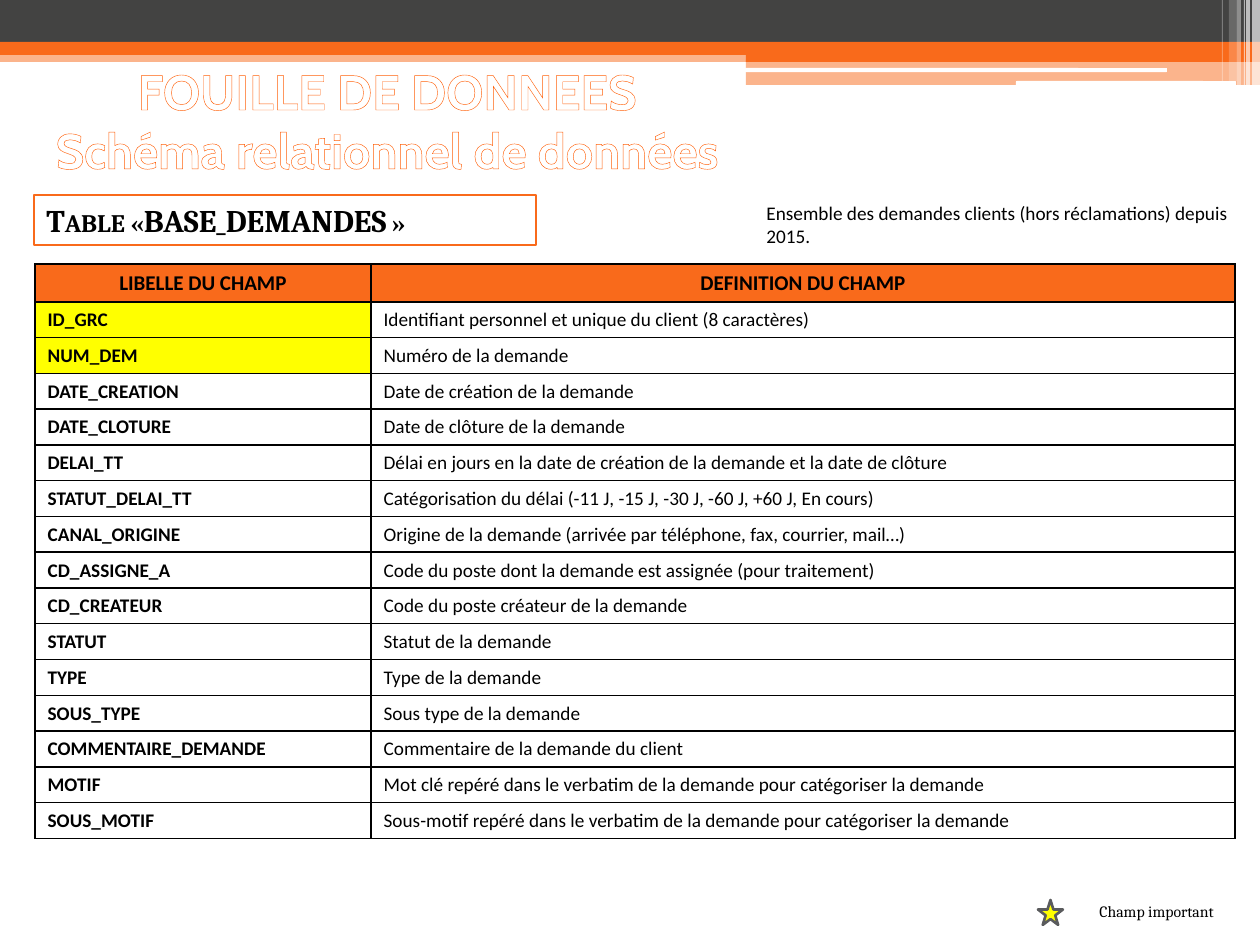
"""Build the slide that describes the fields of the BASE_DEMANDES table."""
from lxml import etree
from pptx import Presentation
from pptx.dml.color import RGBColor
from pptx.enum.shapes import MSO_SHAPE
from pptx.enum.text import MSO_ANCHOR, PP_ALIGN
from pptx.oxml.ns import qn
from pptx.util import Emu, Pt

RECTANGLE, ROUNDED, STAR = MSO_SHAPE.RECTANGLE, MSO_SHAPE.ROUNDED_RECTANGLE, MSO_SHAPE.STAR_5_POINT
LEFT, CENTER = PP_ALIGN.LEFT, PP_ALIGN.CENTER
TOP, MIDDLE, BOTTOM = MSO_ANCHOR.TOP, MSO_ANCHOR.MIDDLE, MSO_ANCHOR.BOTTOM

ORANGE = RGBColor(0xF9, 0x6A, 0x1B)
OUTLINE = RGBColor(0xFF, 0x60, 0x09)
DARK = RGBColor(0x43, 0x43, 0x42)
GRAY = RGBColor(0x5A, 0x5B, 0x5D)
YELLOW = RGBColor(0xFF, 0xFF, 0x00)
WHITE = RGBColor(0xFF, 0xFF, 0xFF)
BLACK = RGBColor(0, 0, 0)

TITLE = "FOUILLE DE DONNEES\vSchéma relationnel de données"
TABLE_NAME = "Table «BASE_DEMANDES\u00a0»\u00a0"
DESCRIPTION = "Ensemble des demandes clients (hors réclamations) depuis 2015."
LEGEND = "Champ important"
HEADERS = ("LIBELLE DU CHAMP", "DEFINITION DU CHAMP")
FIELDS = [
    ("ID_GRC", "Identifiant personnel et unique du client (8 caractères)"),
    ("NUM_DEM", "Numéro de la demande"),
    ("DATE_CREATION", "Date de création de la demande"),
    ("DATE_CLOTURE", "Date de clôture de la demande"),
    ("DELAI_TT", "Délai en jours en la date de création de la demande et la date de clôture"),
    ("STATUT_DELAI_TT", "Catégorisation du délai (-11 J, -15 J, -30 J, -60 J, +60 J, En cours)"),
    ("CANAL_ORIGINE", "Origine de la demande (arrivée par téléphone, fax, courrier, mail…)"),
    ("CD_ASSIGNE_A", "Code du poste dont la demande est assignée (pour traitement)"),
    ("CD_CREATEUR", "Code du poste créateur de la demande"),
    ("STATUT", "Statut de la demande"),
    ("TYPE", "Type de la demande"),
    ("SOUS_TYPE", "Sous type de la demande"),
    ("COMMENTAIRE_DEMANDE", "Commentaire de la demande du client"),
    ("MOTIF", "Mot clé repéré dans le verbatim de la demande pour catégoriser la demande"),
    ("SOUS_MOTIF", "Sous-motif repéré dans le verbatim de la demande pour catégoriser la demande"),
]
IMPORTANT_FIELDS = ("ID_GRC", "NUM_DEM")

BANDS = [
    (RECTANGLE, (0, 50, 1260, 12), ORANGE, 50),
    (RECTANGLE, (0, 0, 1260, 43), DARK, 100),
    (RECTANGLE, (0, 42, 1260, 13), ORANGE, 100),
    (RECTANGLE, (746, 49, 514, 13), ORANGE, 100),
    (RECTANGLE, (746, 60, 514, 25), ORANGE, 50),
    (ROUNDED, (745, 68, 422, 4), WHITE, 100),
    (ROUNDED, (1016, 81, 220, 5), WHITE, 100),
]
STRIPES = [(1252, 8, 86, 65), (1246, 4, 86, 65), (1244, 1, 86, 60),
           (1237, 4, 86, 40), (1229, 8, 81, 20), (1222, 1, 81, 30)]
COLUMN_WIDTHS = (336, 864)
ROW_HEIGHT = 35


def px(length):
    return Emu(round(length * 914400 / 126))


def place(box):
    return [px(length) for length in box]


def add_shape(shapes, kind, box, color, opacity=100, line=None):
    shape = shapes.add_shape(kind, *place(box))
    shape.shadow.inherit = False
    shape.fill.solid()
    shape.fill.fore_color.rgb = color
    if opacity < 100:
        color_element = shape.fill._xPr.find(qn("a:solidFill"))[0]
        etree.SubElement(color_element, qn("a:alpha"), val=str(opacity * 1000))
    if line is None:
        shape.line.fill.background()
    else:
        shape.line.color.rgb = line
        shape.line.width = Pt(1.5)
    return shape


def write(frame, text, size, font_name, bold=False, align=LEFT, color=BLACK):
    frame.text = text
    frame.word_wrap = True
    paragraph = frame.paragraphs[0]
    paragraph.alignment = align
    font = paragraph.font
    font.size, font.name, font.bold = Pt(size), font_name, bold
    font.color.rgb = color
    return paragraph


def add_text(shapes, box, text, size, font_name):
    write(shapes.add_textbox(*place(box)).text_frame, text, size, font_name)


def add_line(parent, tag, color):
    line = etree.Element(qn(tag), w="12700")
    fill = etree.SubElement(line, qn("a:solidFill"))
    etree.SubElement(fill, qn("a:srgbClr"), val=str(color))
    parent.append(line)


def write_cell(cell, text, size, bold, align, anchor, fill):
    write(cell.text_frame, text, size, "Calibri", bold, align)
    cell.vertical_anchor = anchor
    properties = cell._tc.get_or_add_tcPr()
    for side in ("a:lnL", "a:lnR", "a:lnT", "a:lnB"):
        add_line(properties, side, BLACK)
    if fill is None:
        cell.fill.background()
    else:
        cell.fill.solid()
        cell.fill.fore_color.rgb = fill


def add_fields_table(shapes):
    row_count = len(FIELDS) + 1
    box = (35, 264, sum(COLUMN_WIDTHS), row_count * ROW_HEIGHT)
    table = shapes.add_table(row_count, len(HEADERS), *place(box)).table
    for column, width in zip(table.columns, COLUMN_WIDTHS):
        column.width = px(width)
    for cell, header in zip(table.rows[0].cells, HEADERS):
        write_cell(cell, header, 12, True, CENTER, MIDDLE, ORANGE)
    for row, (name, definition) in enumerate(FIELDS, 1):
        fill = YELLOW if name in IMPORTANT_FIELDS else None
        write_cell(table.cell(row, 0), name, 11, True, LEFT, TOP, fill)
        write_cell(table.cell(row, 1), definition, 11, False, LEFT, TOP, None)


def format_title(title):
    title.left, title.top, title.width, title.height = place((-15, 96, 804, 89))
    paragraph = write(title.text_frame, TITLE, 28, "Cabin", True, CENTER, WHITE)
    title.text_frame.vertical_anchor = BOTTOM
    for run in paragraph.runs:
        add_line(run._r.get_or_add_rPr(), "a:ln", OUTLINE)


def main():
    presentation = Presentation()
    presentation.slide_width, presentation.slide_height = px(1260), px(945)
    slide = presentation.slides.add_slide(presentation.slide_layouts[5])
    shapes = slide.shapes
    for kind, box, color, opacity in BANDS:
        add_shape(shapes, kind, box, color, opacity)
    for left, width, height, opacity in STRIPES:
        add_shape(shapes, RECTANGLE, (left, 0, width, height), WHITE, opacity)
    format_title(shapes.title)
    shapes._spTree.append(shapes.title._element)

    label = add_shape(shapes, RECTANGLE, (34, 195, 502, 50), WHITE, line=ORANGE)
    paragraph = write(label.text_frame, TABLE_NAME, 18, "Cambria", True)
    paragraph.runs[0]._r.get_or_add_rPr().set("cap", "small")
    add_text(shapes, (754, 195, 501, 59), DESCRIPTION, 11, "Calibri")
    add_fields_table(shapes)

    legend = shapes.add_group_shape().shapes
    add_shape(legend, STAR, (1038, 900, 25, 25), YELLOW, line=GRAY)
    add_text(legend, (1087, 896, 151, 32), LEGEND, 9, "Cambria")
    presentation.save("out.pptx")


if __name__ == "__main__":
    main()
